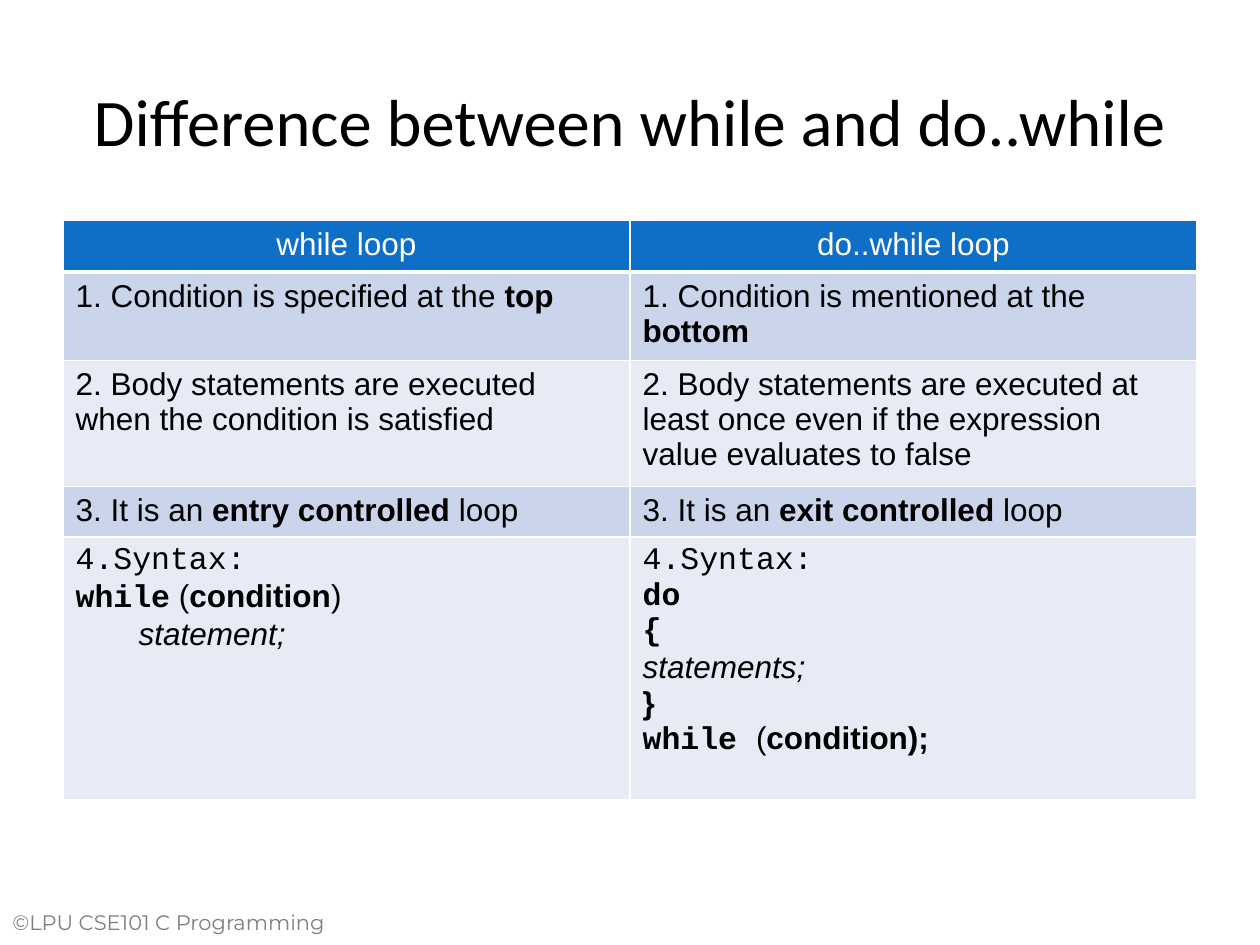
from lxml import etree
from pptx import Presentation
from pptx.dml.color import RGBColor
from pptx.enum.text import MSO_ANCHOR as Anchor, PP_ALIGN as Align
from pptx.oxml.ns import qn
from pptx.util import Inches, Pt

BLACK, WHITE, GRAY = "000000", "FFFFFF", "7F7F7F"
HEADER_FILL, BAND_FILLS = "0F6FC6", ("CAD4EA", "E6EBF5")
ROW_HEIGHTS = (0.41, 0.66, 0.94, 0.4, 2.09)
LINE_BREAK = ("\n", "")

# Each cell is a list of paragraphs, each paragraph a list of (text, style) runs.
# Style letters: b bold, i italic, m monospaced.
ROWS = [
    ([[("while loop", "")]],
     [[("do..while loop", "")]]),
    ([[("1. Condition is specified at the ", ""), ("top", "b")]],
     [[("1. Condition is mentioned at the ", ""), ("bottom", "b")]]),
    ([[("2. Body statements are executed when the condition is satisfied", "")]],
     [[("2. Body statements are executed at least once even if the expression "
        "value evaluates to false", "")]]),
    ([[("3. It is an ", ""), ("entry controlled ", "b"), ("loop", "")]],
     [[("3. It is an ", ""), ("exit controlled", "b"), (" loop", "")]]),
    ([[("4.Syntax:", "m")],
      [("while", "bm"), (" (", ""), ("condition", "b"), (")", "")],
      [("\t", ""), ("statement;", "i")]],
     [[("4.Syntax:", "m")],
      [("do", "bm")],
      [("{", "bm"), LINE_BREAK, ("statements;", "i")],
      [("}", "b"), LINE_BREAK, ("while ", "bm"), ("(", ""), ("condition);", "b")]]),
]


def rgb(color):
    return RGBColor.from_string(color)


def format_font(font, name, size, color):
    font.name = name
    font.size = Pt(size)
    font.color.rgb = rgb(color)


def add_text(slide, text, box, name, size, color, align=Align.LEFT, anchor=Anchor.TOP):
    shape = slide.shapes.add_textbox(*(Inches(length) for length in box))
    text_frame = shape.text_frame
    text_frame.word_wrap = True
    text_frame.vertical_anchor = anchor
    text_frame.text = text
    paragraph = text_frame.paragraphs[0]
    paragraph.alignment = align
    format_font(paragraph.runs[0].font, name, size, color)


def set_borders(cell, bottom_width):
    properties = cell._tc.get_or_add_tcPr()
    widths = {"a:lnL": 1, "a:lnR": 1, "a:lnT": 1, "a:lnB": bottom_width}
    for index, (tag, width) in enumerate(widths.items()):
        line = etree.Element(qn(tag), w=str(Pt(width)))
        fill = etree.SubElement(line, qn("a:solidFill"))
        etree.SubElement(fill, qn("a:srgbClr"), val=WHITE)
        properties.insert(index, line)


def fill_cell(cell, paragraphs, fill, color, align, bottom_width):
    cell.fill.solid()
    cell.fill.fore_color.rgb = rgb(fill)
    set_borders(cell, bottom_width)
    text_frame = cell.text_frame
    for index, runs in enumerate(paragraphs):
        paragraph = text_frame.add_paragraph() if index else text_frame.paragraphs[0]
        paragraph.alignment = align
        for text, style in runs:
            if text == "\n":
                paragraph.add_line_break()
                continue
            run = paragraph.add_run()
            run.text = text
            format_font(run.font, "Courier New" if "m" in style else "Arial", 18, color)
            run.font.bold = "b" in style
            run.font.italic = "i" in style


def add_comparison(slide):
    frame = slide.shapes.add_table(len(ROWS), 2, Inches(0.5), Inches(1.75),
                                   Inches(9), Inches(sum(ROW_HEIGHTS)))
    table = frame.table
    table.horz_banding = False
    table.first_row = False
    for row, (height, contents) in enumerate(zip(ROW_HEIGHTS, ROWS)):
        table.rows[row].height = Inches(height)
        for column, paragraphs in enumerate(contents):
            cell = table.cell(row, column)
            if row == 0:
                fill_cell(cell, paragraphs, HEADER_FILL, WHITE, Align.CENTER, 3)
            else:
                fill_cell(cell, paragraphs, BAND_FILLS[(row - 1) % 2], BLACK, Align.LEFT, 1)


def main():
    presentation = Presentation()
    presentation.slide_width = Inches(10)
    presentation.slide_height = Inches(7.5)
    slide = presentation.slides.add_slide(presentation.slide_layouts[6])

    # Footer
    add_text(slide, "©LPU CSE101 C Programming", (0, 7.17, 3, 0.42), "Montserrat", 12, GRAY)
    # Title
    add_text(slide, "Difference between while and do..while", (0.5, 0.33, 9, 1.25),
             "Calibri", 38, BLACK, Align.CENTER, Anchor.MIDDLE)
    # Comparison table
    add_comparison(slide)

    presentation.save("out.pptx")


if __name__ == "__main__":
    main()
